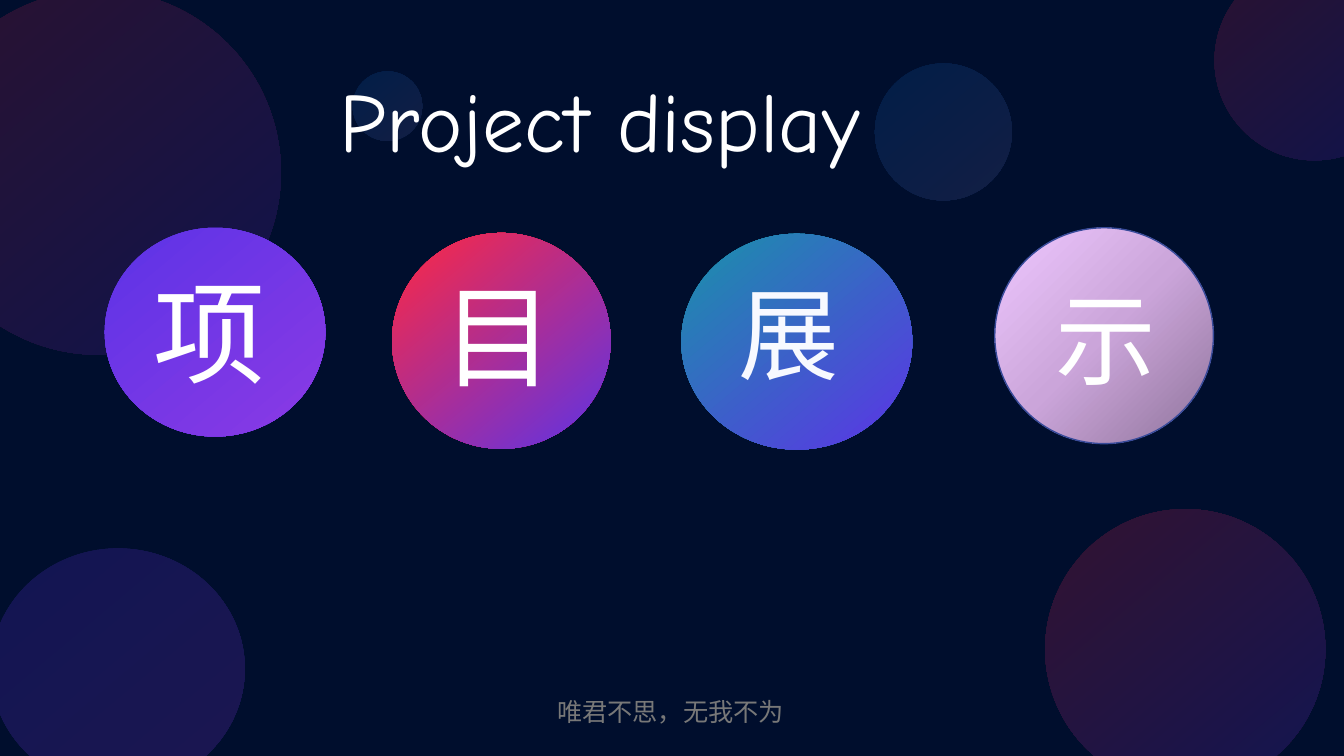
"""Build the "Project display" slide: four lettered discs over faint background circles."""
from lxml import etree
from pptx import Presentation
from pptx.dml.color import RGBColor
from pptx.enum.shapes import MSO_SHAPE
from pptx.enum.text import MSO_AUTO_SIZE
from pptx.oxml import parse_xml
from pptx.oxml.ns import qn
from pptx.util import Cm, Pt

OVAL = MSO_SHAPE.OVAL
GROW = MSO_AUTO_SIZE.SHAPE_TO_FIT_TEXT
DRAWING_NS = "http://schemas.openxmlformats.org/drawingml/2006/main"

NAVY = RGBColor(0x00, 0x0E, 0x2D)
WHITE = RGBColor(0xFF, 0xFF, 0xFF)
PALE = RGBColor(0xF7, 0xF9, 0xFF)
GREY = RGBColor(0x78, 0x78, 0x78)
BLUE = RGBColor(0x0A, 0x6C, 0xD1)
SLATE = RGBColor(0x74, 0x74, 0xBA)
RED = RGBColor(0xFF, 0x28, 0x41)
INDIGO = RGBColor(0x5C, 0x33, 0xE6)
VIOLET = RGBColor(0x8B, 0x3A, 0xE5)
TEAL = RGBColor(0x19, 0x92, 0xAA)
MAUVE = RGBColor(0x8F, 0x74, 0x9A)
LILAC = RGBColor(0xCB, 0xA5, 0xDA)
PINK = RGBColor(0xEF, 0xC8, 0xFF)
RIM = RGBColor(0x38, 0x4B, 0x9A)

LINEAR = '<a:lin ang="3000000" scaled="0"/>'
FROM_CORNER = '<a:path path="circle"><a:fillToRect l="100000" t="100000"/></a:path>'

# left, top, width, height, colours, opacity in percent
BACKGROUND_CIRCLES = [
    (22.05, 1.6, 3.45, 3.45, (BLUE, SLATE), 16),
    (30.61, -0.99, 5.03, 5.03, (RED, INDIGO), 16),
    (-2.11, -0.25, 9.19, 9.19, (RED, INDIGO), 16),
    (8.89, 1.8, 1.75, 1.75, (BLUE, SLATE), 16),
    (-0.23, 13.82, 6.4, 6.07, (INDIGO, VIOLET), 20),
    (26.34, 12.83, 7.06, 7.06, (RED, INDIGO), 20),
]
LETTER_DISCS = [
    (2.64, 5.74, 5.56, 5.26, (INDIGO, VIOLET), 100),
    (9.88, 5.87, 5.51, 5.44, (RED, INDIGO), 100),
    (17.17, 5.89, 5.82, 5.44, (TEAL, INDIGO), 100),
]
RIMMED_DISC = (25.07, 5.74, 5.51, 5.44, (MAUVE, LILAC, PINK), 100)

# text, left, top, width, height, font, size, colour, has margins, wraps
TEXTS = [
    ("项", 3.86, 6.65, 3.68, 3.43, "Montserrat", 80, WHITE, False, True),
    ("目", 10.9, 6.58, 2.92, 3.68, "Noto Sans CJK SC", 80, WHITE, True, True),
    ("展", 18.62, 6.86, 2.74, 3.07, "Montserrat", 72, PALE, False, True),
    ("示", 26.34, 6.86, 2.49, 3.33, "Noto Sans CJK SC", 72, WHITE, True, True),
    ("Project display", 8.31, 1.6, 17.42, 2.82, "Comic Neue", 60, WHITE, True, False),
    ("唯君不思，无我不为", 13.79, 17.42, 12.27, 1.02, "Noto Sans CJK JP", 18, GREY, True, True),
]


def add_circle(slide, left, top, width, height, colours, opacity, direction=LINEAR):
    circle = slide.shapes.add_shape(OVAL, Cm(left), Cm(top), Cm(width), Cm(height))
    circle.shadow.inherit = False
    circle.line.fill.background()
    circle.fill.gradient()
    step = 100000 // (len(colours) - 1)
    stops = "".join(
        f'<a:gs pos="{index * step}"><a:srgbClr val="{colour}">'
        f'<a:alpha val="{opacity * 1000}"/></a:srgbClr></a:gs>'
        for index, colour in enumerate(colours)
    )
    gradient = parse_xml(
        f'<a:gradFill xmlns:a="{DRAWING_NS}" rotWithShape="1">'
        f"<a:gsLst>{stops}</a:gsLst>{direction}</a:gradFill>"
    )
    properties = circle.element.spPr
    properties.replace(properties.find(qn("a:gradFill")), gradient)
    return circle


def add_text(slide, text, left, top, width, height, font_name, size, colour, margins, wraps):
    box = slide.shapes.add_textbox(Cm(left), Cm(top), Cm(width), Cm(height))
    frame = box.text_frame
    frame.word_wrap = wraps
    frame.auto_size = GROW
    if not margins:
        frame.margin_left = frame.margin_right = 0
        frame.margin_top = frame.margin_bottom = 0
    paragraph = frame.paragraphs[0]
    paragraph.text = text
    paragraph.font.size = Pt(size)
    paragraph.font.color.rgb = colour
    paragraph.font.name = font_name
    defaults = paragraph._p.pPr.find(qn("a:defRPr"))
    etree.SubElement(defaults, qn("a:ea")).set("typeface", font_name)


def main():
    deck = Presentation()
    deck.slide_width, deck.slide_height = Cm(33.87), Cm(19.05)
    slide = deck.slides.add_slide(deck.slide_layouts[6])
    slide.background.fill.solid()
    slide.background.fill.fore_color.rgb = NAVY

    for circle in BACKGROUND_CIRCLES + LETTER_DISCS:
        add_circle(slide, *circle)
    rimmed = add_circle(slide, *RIMMED_DISC, direction=FROM_CORNER)
    rimmed.line.color.rgb = RIM
    rimmed.line.width = Pt(1)
    for text in TEXTS:
        add_text(slide, *text)

    deck.save("out.pptx")


if __name__ == "__main__":
    main()
